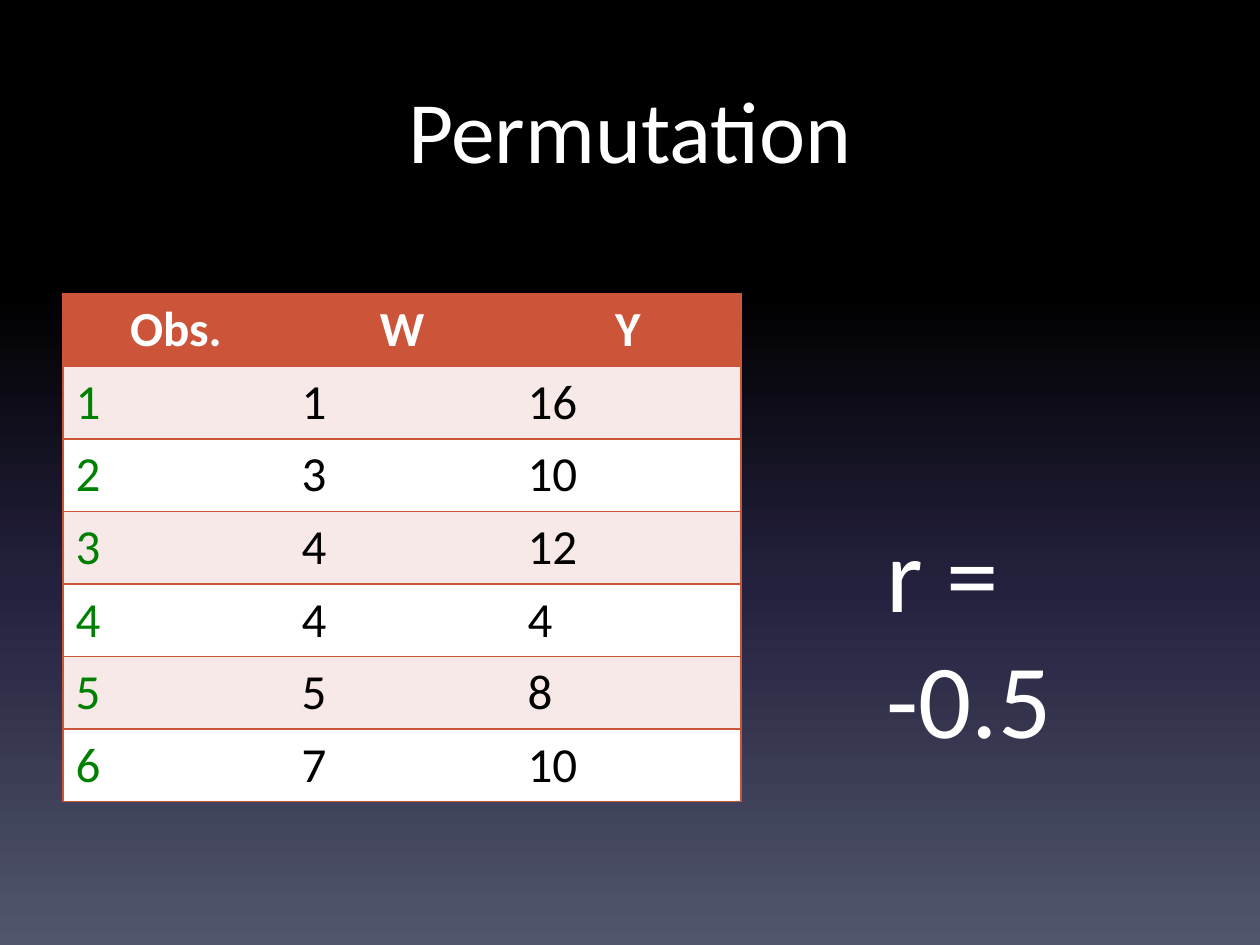
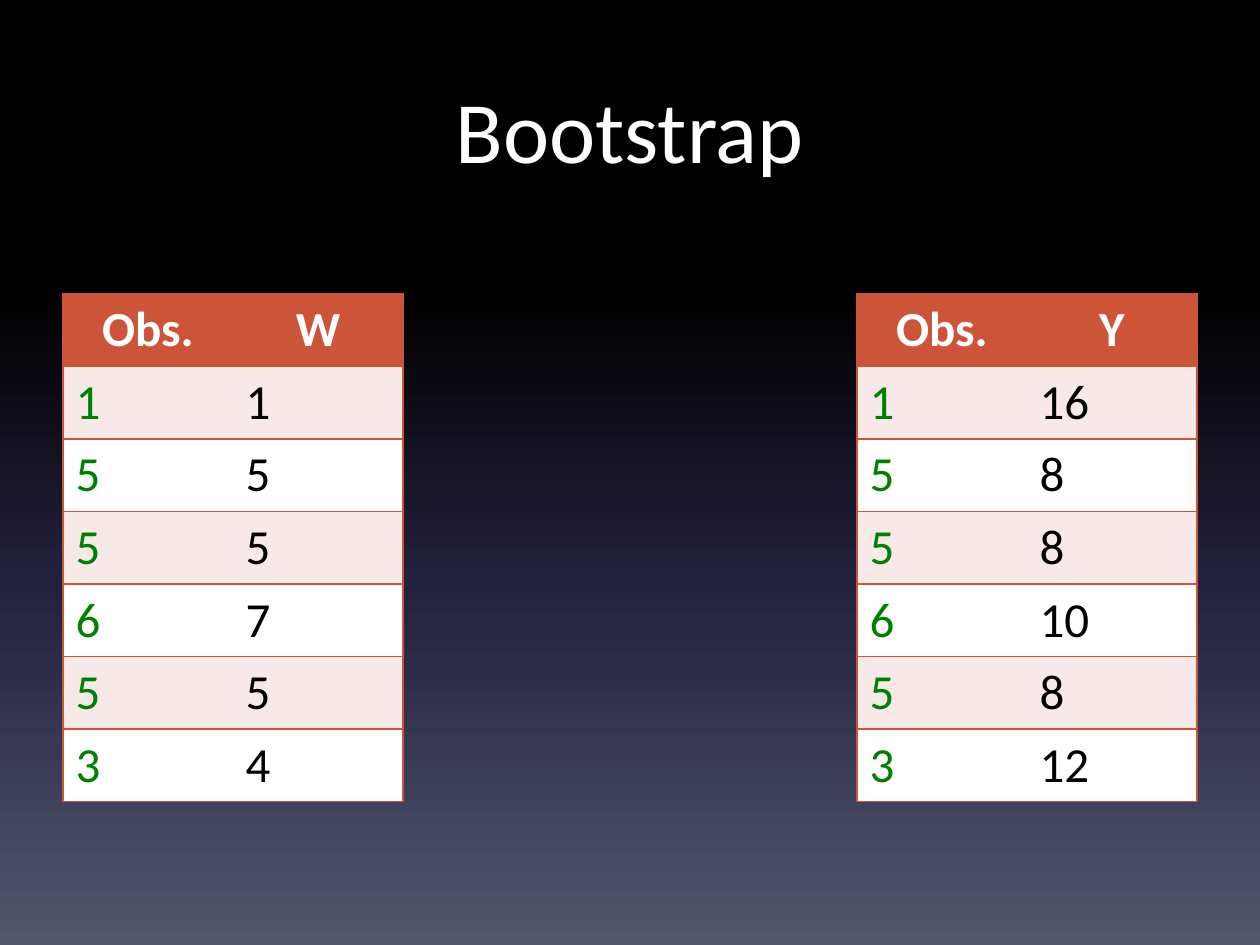
from lxml import etree
from pptx import Presentation
from pptx import util as u
from pptx.dml.color import RGBColor
from pptx.enum import text
from pptx.oxml.ns import qn

# Content: tables are (side, column width, header, rows)
SLIDES = [
    {
        "title": "Permutation",
        "tables": [
            ("left", 226, ("Obs.", "W", "Y"),
             [(1, 1, 16), (2, 3, 10), (3, 4, 12), (4, 4, 4), (5, 5, 8), (6, 7, 10)]),
        ],
        "result": "r = -0.5",
    },
    {
        "title": "Bootstrap",
        "tables": [
            ("left", 170, ("Obs.", "W"),
             [(1, 1), (5, 5), (5, 5), (6, 7), (5, 5), (3, 4)]),
            ("right", 170, ("Obs.", "Y"),
             [(1, 16), (5, 8), (5, 8), (6, 10), (5, 8), (3, 12)]),
        ],
    },
]

# Shared look
COLORS = {
    "white": "FFFFFF", "black": "000000", "observation": "008000",
    "accent": "CC5439", "band": "F6E9E8",
}
BACKGROUND_STOPS = [(0, "000000"), (31, "000000"), (62, "24213E"), (100, "51566D")]
FONT = "Calibri"
WIDTH, HEIGHT, MARGIN = 1260, 945, 63
TITLE_BOX = (MARGIN, 63, WIDTH - 2 * MARGIN, 157)
RESULT_BOX = (874, 501, 326, 140)
TABLE_TOP, ROW_HEIGHT = 294, 72
PLAIN_TABLE_STYLE = "{2D5ABB26-0587-4C30-8999-92F81FD0307C}"


def px(length):
    return u.Emu(round(length * 914400 / 126))


def color(name):
    return RGBColor.from_string(COLORS[name])


def style(paragraph, size, color_name, bold=False):
    paragraph.font.name = FONT
    paragraph.font.size = u.Pt(size)
    paragraph.font.color.rgb = color(color_name)
    paragraph.font.bold = bold


def set_background(master):
    fill = master.background.fill
    fill.gradient()
    fill.gradient_angle = 270
    stops = master.element.find(".//" + qn("a:gsLst"))
    for stop in list(stops):
        stops.remove(stop)
    for position, value in BACKGROUND_STOPS:
        stop = etree.SubElement(stops, qn("a:gs"), pos=str(position * 1000))
        etree.SubElement(stop, qn("a:srgbClr"), val=value)


def add_title(slide, wording):
    title = slide.shapes.title
    title.left, title.top, title.width, title.height = map(px, TITLE_BOX)
    frame = title.text_frame
    frame.text = wording
    frame.vertical_anchor = text.MSO_ANCHOR.MIDDLE
    frame.margin_bottom = px(32)
    paragraph = frame.paragraphs[0]
    paragraph.alignment = text.PP_ALIGN.CENTER
    style(paragraph, 50, "white")


def add_borders(cell, sides):
    properties = cell._tc.get_or_add_tcPr()
    for side in sides:
        line = etree.SubElement(properties, qn("a:ln" + side), w=str(u.Pt(1)))
        fill = etree.SubElement(line, qn("a:solidFill"))
        etree.SubElement(fill, qn("a:srgbClr"), val=COLORS["accent"])


def add_data_table(slide, side, column_width, header, rows):
    lines = [header, *rows]
    width = column_width * len(header)
    left = MARGIN if side == "left" else WIDTH - MARGIN - width
    frame = slide.shapes.add_table(
        len(lines), len(header), px(left), px(TABLE_TOP),
        px(width), px(ROW_HEIGHT * len(lines)))
    frame.element.find(".//" + qn("a:tableStyleId")).text = PLAIN_TABLE_STYLE
    table = frame.table
    for column in table.columns:
        column.width = px(column_width)
    for row_index, line in enumerate(lines):
        table.rows[row_index].height = px(ROW_HEIGHT)
        is_header = row_index == 0
        fill_name = "accent" if is_header else "band" if row_index % 2 else "white"
        for column_index, value in enumerate(line):
            cell = table.cell(row_index, column_index)
            # Outer sides and row rules only; columns have no rule between them
            left_side = "L" if column_index == 0 else ""
            right_side = "R" if column_index == len(header) - 1 else ""
            add_borders(cell, left_side + right_side + "TB")
            cell.fill.solid()
            cell.fill.fore_color.rgb = color(fill_name)
            cell.text = str(value)
            paragraph = cell.text_frame.paragraphs[0]
            if is_header:
                paragraph.alignment = text.PP_ALIGN.CENTER
                style(paragraph, 28, "white", bold=True)
            else:
                style(paragraph, 28, "black" if column_index else "observation")


def add_result(slide, wording):
    frame = slide.shapes.add_textbox(*map(px, RESULT_BOX)).text_frame
    frame.word_wrap = False
    frame.auto_size = text.MSO_AUTO_SIZE.SHAPE_TO_FIT_TEXT
    frame.text = wording
    style(frame.paragraphs[0], 60, "white")


def main():
    presentation = Presentation()
    presentation.slide_width, presentation.slide_height = px(WIDTH), px(HEIGHT)
    set_background(presentation.slide_master)
    title_only = presentation.slide_layouts.get_by_name("Title Only")
    for content in SLIDES:
        slide = presentation.slides.add_slide(title_only)
        add_title(slide, content["title"])
        for table in content["tables"]:
            add_data_table(slide, *table)
        if "result" in content:
            add_result(slide, content["result"])
    presentation.save("out.pptx")


if __name__ == "__main__":
    main()
